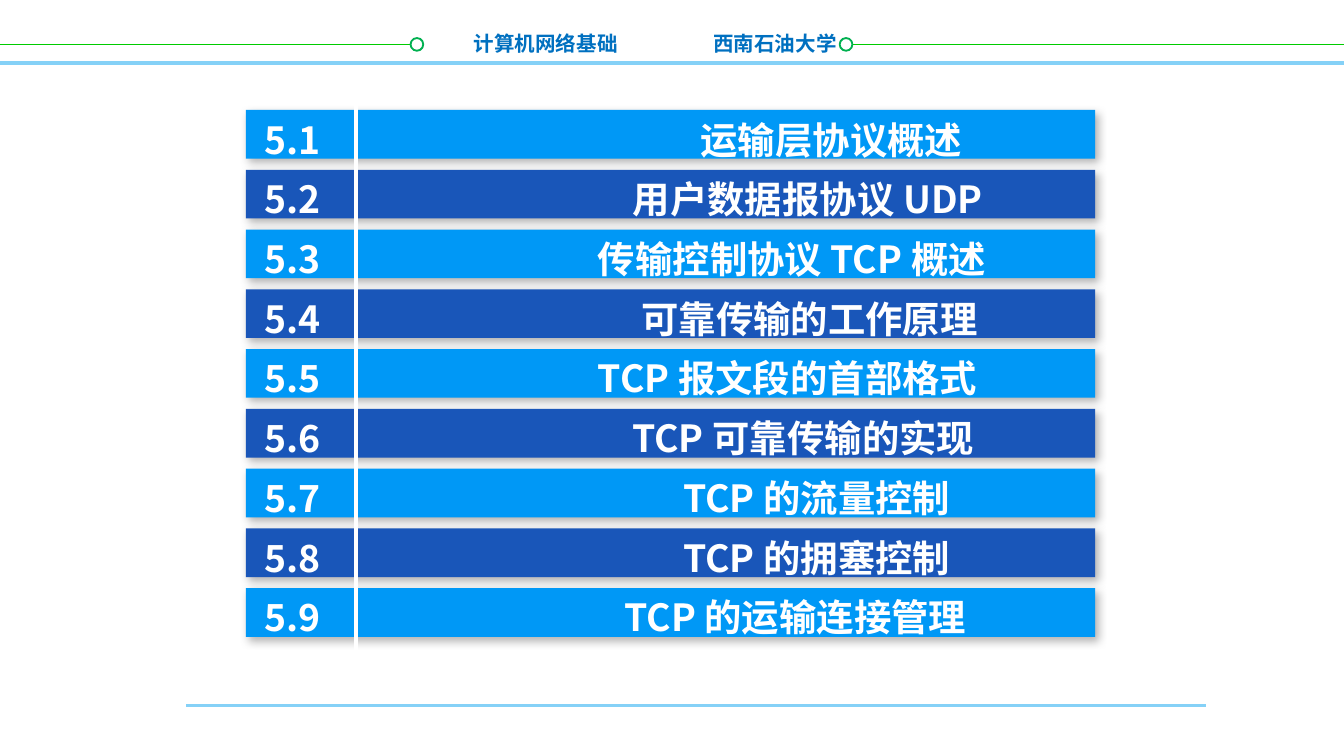
from lxml import etree
from pptx import Presentation
from pptx.dml.color import RGBColor
from pptx.enum.shapes import MSO_CONNECTOR, MSO_SHAPE
from pptx.enum.text import MSO_ANCHOR, PP_ALIGN
from pptx.oxml import parse_xml
from pptx.oxml.ns import nsdecls, qn
from pptx.util import Cm, Pt

WHITE = RGBColor(0xFF, 0xFF, 0xFF)
SKY = RGBColor(0x85, 0xD1, 0xF7)
GREEN = RGBColor(0x00, 0xCC, 0x00)
RING_GREEN = RGBColor(0x00, 0xB0, 0x50)
HEADER_BLUE = RGBColor(0x00, 0x70, 0xC0)
LIGHT_BLUE = RGBColor(0x00, 0x98, 0xF6)
DARK_BLUE = RGBColor(0x19, 0x56, 0xB9)

FONT = "Noto Sans CJK SC"
HEADER_FORMAT = {"size": Pt(11), "bold": True, "name": FONT}
LIST_FORMAT = {"size": Pt(20), "bold": True, "name": FONT}

# Section title and its tab position in cm
SECTIONS = [
    ("运输层协议概述", 8.24),
    ("用户数据报协议 UDP", 6.96),
    ("传输控制协议 TCP 概述", 6.3),
    ("可靠传输的工作原理", 7.12),
    ("TCP 报文段的首部格式", 6.3),
    ("TCP 可靠传输的实现", 6.95),
    ("TCP 的流量控制", 7.91),
    ("TCP 的拥塞控制", 7.91),
    ("TCP 的运输连接管理", 6.8),
]
BAR_TOP, BAR_PITCH = 2.08, 1.13

SHADOW = (
    f'<a:effectLst {nsdecls("a")}>'
    '<a:outerShdw blurRad="57150" dist="33020" dir="3180000" algn="tl" rotWithShape="0">'
    '<a:srgbClr val="000000"><a:alpha val="30000"/></a:srgbClr>'
    '</a:outerShdw></a:effectLst>'
)


def add_line(page, start, end, color, width):
    line = page.shapes.add_connector(MSO_CONNECTOR.STRAIGHT, *map(Cm, start + end))
    line.line.color.rgb = color
    line.line.width = Pt(width)
    etree.SubElement(line._element.spPr, qn("a:effectLst"))


def add_ring(page, left):
    ring = page.shapes.add_shape(MSO_SHAPE.OVAL, Cm(left), Cm(0.72), Cm(0.24), Cm(0.24))
    ring.shadow.inherit = False
    ring.fill.solid()
    ring.fill.fore_color.rgb = WHITE
    ring.line.color.rgb = RING_GREEN
    ring.line.width = Pt(1)


def add_bar(page, top, color):
    bar = page.shapes.add_shape(MSO_SHAPE.RECTANGLE, Cm(4.65), Cm(top), Cm(16.05), Cm(0.92))
    bar.fill.solid()
    bar.fill.fore_color.rgb = color
    bar.line.fill.background()
    bar._element.spPr.append(parse_xml(SHADOW))


def add_text_frame(page, left, top, width, height, wrap=True):
    box = page.shapes.add_textbox(Cm(left), Cm(top), Cm(width), Cm(height))
    frame = box.text_frame
    frame.word_wrap = wrap
    frame.vertical_anchor = MSO_ANCHOR.TOP
    return frame


def add_span(para, text, color, text_format):
    span = para.add_run()
    span.text = text
    span.font.color.rgb = color
    for name, value in text_format.items():
        setattr(span.font, name, value)
    # East Asian glyphs need their own typeface entry
    etree.SubElement(span.font._element, qn("a:ea"), typeface=FONT)


def add_header_label(page, text, left, width, align):
    para = add_text_frame(page, left, 0.46, width, 0.71, wrap=False).paragraphs[0]
    para.alignment = align
    add_span(para, text, HEADER_BLUE, HEADER_FORMAT)


def add_tab(para, position):
    tabs = etree.SubElement(para._p.get_or_add_pPr(), qn("a:tabLst"))
    etree.SubElement(tabs, qn("a:tab"), pos=str(Cm(position)), algn="l")


def add_section_list(page):
    frame = add_text_frame(page, 4.75, 1.8, 15.95, 10.52)
    for number, (title, position) in enumerate(SECTIONS, start=1):
        para = frame.paragraphs[0] if number == 1 else frame.add_paragraph()
        add_tab(para, position)
        para.line_spacing = Pt(32)
        add_span(para, f"5.{number}\t{title}", WHITE, LIST_FORMAT)


def main():
    deck = Presentation()
    deck.slide_width, deck.slide_height = Cm(25.4), Cm(14.29)
    page = deck.slides.add_slide(deck.slide_layouts[6])

    # Header and footer
    add_line(page, (3.52, 13.34), (22.8, 13.34), SKY, 1.5)
    add_line(page, (0, 1.19), (25.4, 1.19), SKY, 2)
    add_line(page, (0, 0.84), (7.87, 0.84), GREEN, 1)
    add_line(page, (15.88, 0.84), (25.4, 0.84), GREEN, 1)
    add_ring(page, 7.76)
    add_ring(page, 15.87)
    add_header_label(page, "计算机网络基础", 8.69, 3.24, PP_ALIGN.RIGHT)
    add_header_label(page, "西南石油大学", 13.23, 2.95, PP_ALIGN.LEFT)

    # Bars in alternating colours, the number divider and the text
    for index in range(len(SECTIONS)):
        color = DARK_BLUE if index % 2 else LIGHT_BLUE
        add_bar(page, BAR_TOP + index * BAR_PITCH, color)
    add_line(page, (6.73, 1.73), (6.73, 12.62), WHITE, 2.25)
    add_section_list(page)

    deck.save("out.pptx")


if __name__ == "__main__":
    main()
